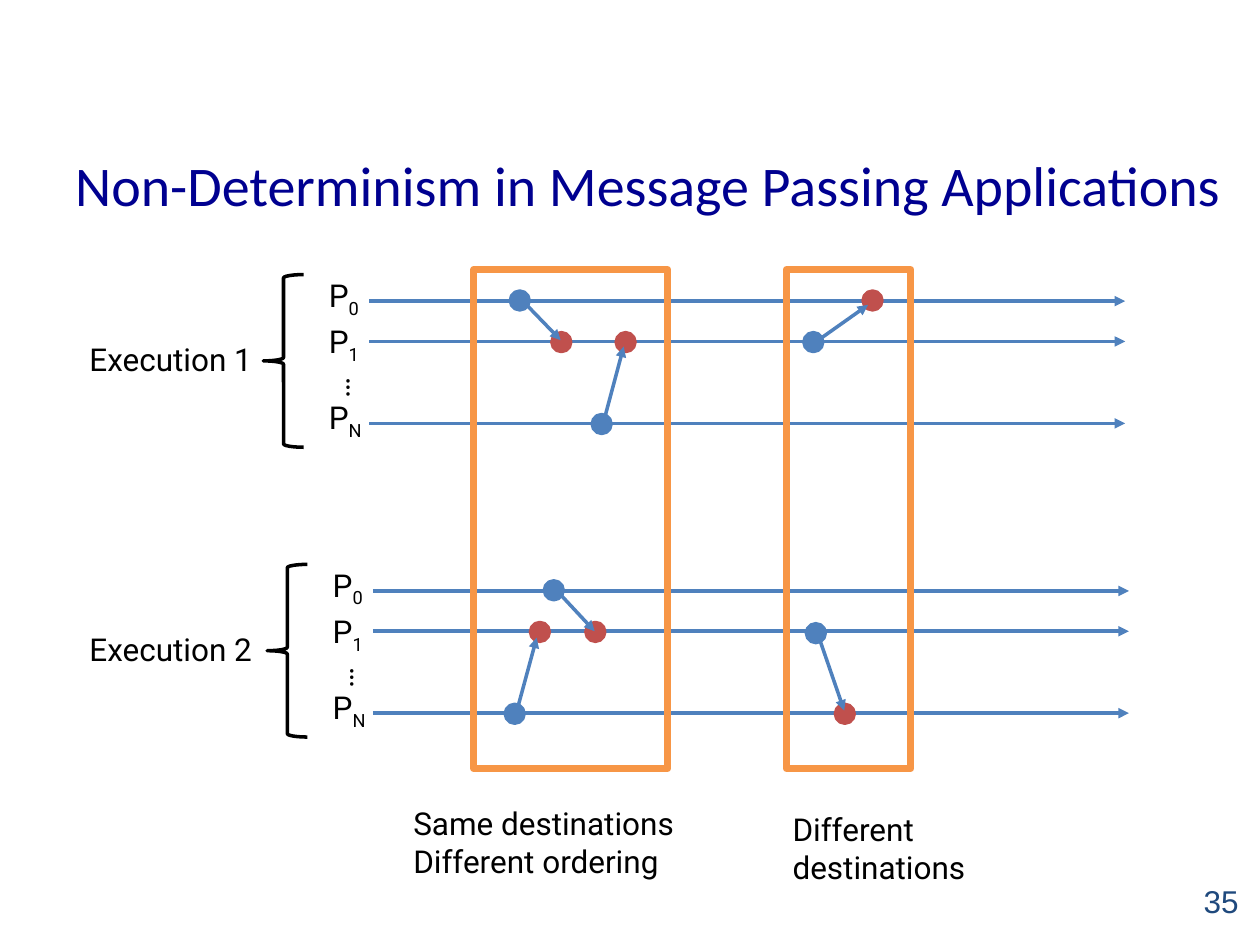
import dataclasses
import typing

import lxml.etree
import pptx
import pptx.dml.color
import pptx.enum.shapes
import pptx.enum.text
import pptx.oxml.ns
import pptx.util

Inches = pptx.util.Inches
Align = pptx.enum.text.PP_ALIGN
Anchor = pptx.enum.text.MSO_ANCHOR
Fit = pptx.enum.text.MSO_AUTO_SIZE
Kind = pptx.enum.shapes.MSO_SHAPE
Point = tuple[float, float]
Box = tuple[float, float, float, float]


@dataclasses.dataclass(frozen=True)
class Theme:
    blue: str = "4F81BD"
    red: str = "C0504D"
    orange: str = "F79646"
    black: str = "000000"
    navy: str = "000090"
    slate: str = "1F497D"
    face: str = "Roboto"
    title: int = 32
    body: int = 18
    thin: int = 2
    thick: int = 4


THEME = Theme()
DOT = 0.15
INSET = Inches(0.05)


@dataclasses.dataclass(frozen=True)
class Run:
    name: str
    shift: Point


@dataclasses.dataclass(frozen=True)
class Row:
    sub: str
    line: float
    label: float


@dataclasses.dataclass(frozen=True)
class Message:
    send: Point
    receive: Point
    start: Point
    end: Point


@dataclasses.dataclass(frozen=True)
class Group:
    frame: Box
    note: Box
    words: str
    messages: tuple[Message, ...]


RUNS = (Run("Execution 1", (0, 0)), Run("Execution 2", (0.03, 2.3)))
ROWS = (Row("0", 2.39, 2.14), Row("1", 2.71, 2.51), Row("N", 3.36, 3.11))
GROUPS = (
    Group((3.76, 2.14, 1.54, 3.96), (3.23, 6.33, 2.28, 0.71),
          "Same destinations\nDifferent ordering", (
              Message((4.05, 2.31), (4.38, 2.64), (4.17, 2.41), (4.45, 2.7)),
              Message((4.7, 3.29), (4.89, 2.64), (4.79, 3.35), (4.95, 2.75)),
              Message((4.32, 4.61), (4.65, 4.94), (4.44, 4.71), (4.72, 5.01)),
              Message((4.01, 5.59), (4.21, 4.94), (4.1, 5.65), (4.26, 5.06)))),
    Group((6.24, 2.14, 0.99, 3.96), (6.24, 6.38, 1.59, 0.71),
          "Different\ndestinations", (
              Message((6.38, 2.64), (6.85, 2.31), (6.48, 2.71), (6.89, 2.42)),
              Message((6.4, 4.95), (6.63, 5.59), (6.5, 5.06), (6.7, 5.64)))),
)


def apply(target: typing.Any, values: dict[str, typing.Any]) -> None:
    for key, value in values.items():
        setattr(target, key, value)


def tint(code: str) -> pptx.dml.color.RGBColor:
    return pptx.dml.color.RGBColor.from_string(code)


def write(slide, box: Box, words: str, sub: str = "", turn: int = 0,
          size: int = THEME.body, face: str = THEME.face,
          color: str = THEME.black, align=Align.LEFT,
          anchor=Anchor.TOP, fit=Fit.SHAPE_TO_FIT_TEXT) -> None:
    shape = slide.shapes.add_textbox(*map(Inches, box))
    shape.rotation = turn
    frame = shape.text_frame
    apply(frame, {"word_wrap": True, "auto_size": fit,
                  "vertical_anchor": anchor,
                  "margin_left": INSET, "margin_right": INSET,
                  "margin_top": INSET, "margin_bottom": INSET})
    para = frame.paragraphs[0]
    para.alignment = align
    for count, part in enumerate(words.split("\n")):
        if count:
            para.add_line_break()
        para.add_run().text = part
    if sub:
        run = para.add_run()
        run.text = sub
        run.font._element.set("baseline", "-25000")
    for run in para.runs:
        apply(run.font, {"name": face, "size": pptx.util.Pt(size)})
        run.font.color.rgb = tint(color)


def stroke(line, color: str, width: int) -> None:
    line.color.rgb = tint(color)
    line.width = pptx.util.Pt(width)


def draw(slide, kind, box: Box, color: str, width: int = THEME.thin,
         solid: bool = False) -> None:
    shape = slide.shapes.add_shape(kind, *map(Inches, box))
    shape.shadow.inherit = False
    if solid:
        shape.fill.solid()
        shape.fill.fore_color.rgb = tint(color)
    else:
        shape.fill.background()
    stroke(shape.line, color, width)


def arrow(slide, start: Point, end: Point) -> None:
    link = slide.shapes.add_connector(
        pptx.enum.shapes.MSO_CONNECTOR.STRAIGHT, *map(Inches, start + end))
    stroke(link.line, THEME.blue, THEME.thin)
    props = link.element.spPr
    qn = pptx.oxml.ns.qn
    lxml.etree.SubElement(props.find(qn("a:ln")), qn("a:tailEnd"), type="triangle")
    lxml.etree.SubElement(props, qn("a:effectLst"))


def trace(slide, run: Run) -> None:
    dx, dy = run.shift
    for row in ROWS:
        level = row.line + dy
        arrow(slide, (2.93 + dx, level), (8.93 + dx, level))
        write(slide, (2.56 + dx, row.label + dy, 0.65, 0.4), "P", row.sub)
    write(slide, (2.44 + dx, 2.78 + dy, 0.47, 0.4), "…", turn=270)
    draw(slide, Kind.LEFT_BRACE, (2.09 + dx, 2.18 + dy, 0.32, 1.37), THEME.black)
    write(slide, (0.66, 2.65 + dy, 1.41, 0.4), run.name)


def mark(slide, group: Group) -> None:
    for item in group.messages:
        for spot, color in ((item.send, THEME.blue), (item.receive, THEME.red)):
            draw(slide, Kind.OVAL, spot + (DOT, DOT), color, solid=True)
        arrow(slide, item.start, item.end)
    draw(slide, Kind.RECTANGLE, group.frame, THEME.orange, THEME.thick)
    write(slide, group.note, group.words)


def main() -> None:
    deck = pptx.Presentation()
    apply(deck, {"slide_width": Inches(10), "slide_height": Inches(7.5)})
    slide = deck.slides.add_slide(deck.slide_layouts[6])
    write(slide, (0.5, 0.92, 9.29, 1.08),
          "Non-Determinism in Message Passing Applications",
          size=THEME.title, face="Calibri", color=THEME.navy,
          align=Align.CENTER, anchor=Anchor.MIDDLE, fit=Fit.NONE)
    for run in RUNS:
        trace(slide, run)
    for group in GROUPS:
        mark(slide, group)
    write(slide, (7.55, 6.95, 2.33, 0.4), "35", face="Arial",
          color=THEME.slate, align=Align.RIGHT, anchor=Anchor.MIDDLE)
    deck.save("out.pptx")


if __name__ == "__main__":
    main()
